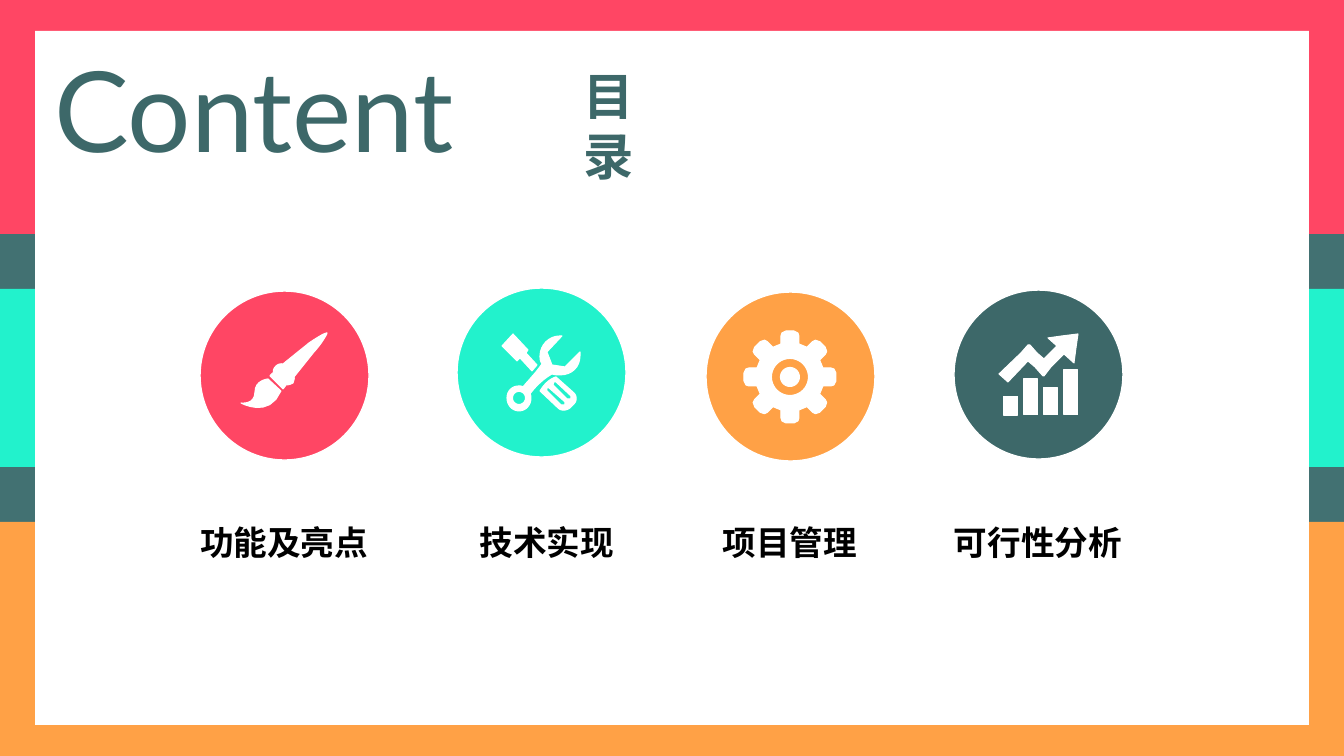
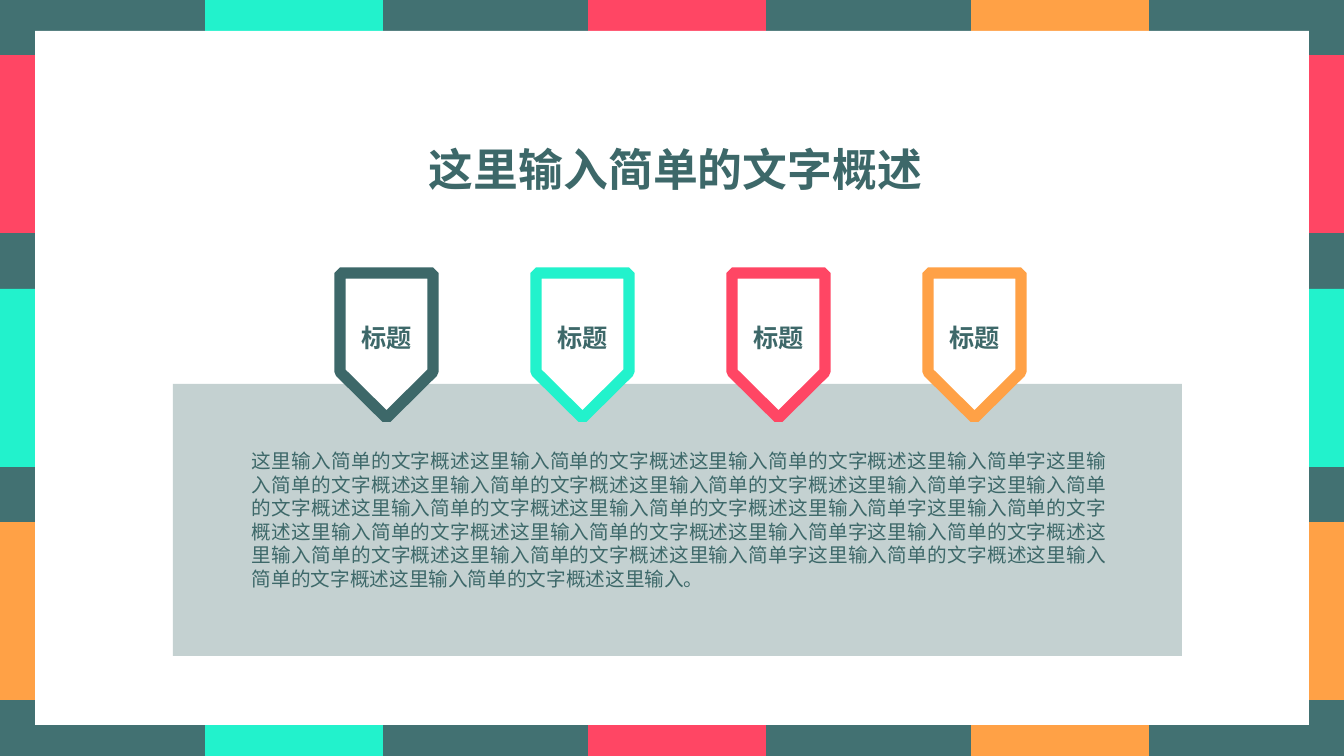
from dataclasses import dataclass
from math import cos, pi, sin

from lxml.etree import SubElement
from pptx import Presentation
from pptx.dml.color import RGBColor
from pptx.enum.shapes import MSO_SHAPE
from pptx.enum.text import MSO_ANCHOR, MSO_AUTO_SIZE, PP_ALIGN
from pptx.oxml.ns import qn
from pptx.util import Emu, Pt

PX = 914400 / 100.8
W, H = 1344, 756


@dataclass(frozen=True)
class Theme:
    """Colours, fonts and type sizes of the deck."""
    dark: str = "3D6869"
    back: str = "427172"
    red: str = "FF4664"
    mint: str = "22F2CC"
    orange: str = "FFA146"
    white: str = "FFFFFF"
    black: str = "000000"
    latin: str = "Lato"
    cjk: str = "Noto Sans CJK SC"
    hero: int = 80
    side: int = 36
    title: int = 32
    label: int = 24
    tag: int = 18
    body: int = 14


def px(n):
    """Turn pixels into EMU."""
    return Emu(round(n * PX))


def ring(cx, cy, radius, steps=40):
    """Return the points of a circle."""
    turns = [2 * pi * i / steps for i in range(steps)]
    return [(cx + radius * cos(a), cy + radius * sin(a)) for a in turns]


def gear(cx, cy):
    """Return the outline of a gear with eight teeth."""
    tooth = [(-9, -33), (-9, -41), (-8, -44), (-4, -46),
             (4, -46), (8, -44), (9, -41), (9, -33)]
    return [(cx + x * cos(a) - y * sin(a), cy + x * sin(a) + y * cos(a))
            for a in (i * pi / 4 for i in range(8)) for x, y in tooth]


def flatten(contour, steps=8):
    """Replace each Bezier segment of a contour by short lines."""
    points = []
    for seg in contour:
        if len(seg) == 2:
            points.append(seg)
            continue
        x0, y0 = points[-1]
        x1, y1, x2, y2, x3, y3 = seg
        for t in (i / steps for i in range(1, steps + 1)):
            u = 1 - t
            k = (u ** 3, 3 * u * u * t, 3 * u * t * t, t ** 3)
            points.append((sum(a * b for a, b in zip(k, (x0, x1, x2, x3))),
                           sum(a * b for a, b in zip(k, (y0, y1, y2, y3)))))
    return points


class Deck:
    """Hold the style and the current slide, and draw on it."""

    def __init__(self, theme):
        """Start an empty deck."""
        self.th = theme
        self.prs = Presentation()
        self.prs.slide_width, self.prs.slide_height = px(W), px(H)

    def slide(self, rows, columns=()):
        """Add a slide framed by coloured bands around a white panel."""
        self.s = self.prs.slides.add_slide(self.prs.slide_layouts[5])
        self.shapes = self.s.shapes
        self.shape(0, 0, W, H, self.th.back)
        for y, h, color in rows:
            self.shape(0, y, W, h, color)
        for x, w, color in columns:
            self.shape(x, 0, w, H, color)
        self.shape(35, 31, 1274, 694, self.th.white)

    def group(self):
        """Send the next shapes to a new group."""
        self.shapes = self.s.shapes.add_group_shape().shapes

    def ungroup(self):
        """Send the next shapes to the slide."""
        self.shapes = self.s.shapes

    def paint(self, sp, fill, line=None, width=0.75):
        """Give a shape its fill and outline."""
        sp.shadow.inherit = False
        sp.fill.solid()
        sp.fill.fore_color.rgb = RGBColor.from_string(fill)
        if line:
            sp.line.color.rgb = RGBColor.from_string(line)
            sp.line.width = Pt(width)
        else:
            sp.line.fill.background()
        return sp

    def shape(self, x, y, w, h, fill, line=None, width=0.75,
              kind=MSO_SHAPE.RECTANGLE, alpha=None):
        """Add a preset shape."""
        sp = self.shapes.add_shape(kind, px(x), px(y), px(w), px(h))
        self.paint(sp, fill, line, width)
        if alpha:
            clr = next(sp.element.iter(qn("a:srgbClr")))
            SubElement(clr, qn("a:alpha"), val=str(alpha * 1000))
        return sp

    def outline(self, contours, fill, line, width=0.75):
        """Add one freeform made of closed contours."""
        paths = [[(px(x), px(y)) for x, y in flatten(c)] for c in contours]
        fb = self.shapes.build_freeform(*paths[0][0])
        fb.add_line_segments(paths[0][1:])
        for points in paths[1:]:
            fb.move_to(*points[0])
            fb.add_line_segments(points[1:])
        return self.paint(fb.convert_to_shape(), fill, line, width)

    def put(self, sp, text, size, color=None, font=None, bold=True,
            lead=1.2, insets=(10, 5, 10, 5), anchor=MSO_ANCHOR.TOP, **para):
        """Put formatted text into a shape."""
        tf = sp.text_frame
        tf.text = text
        left, top, right, bottom = map(px, insets)
        frame = {"word_wrap": True, "auto_size": MSO_AUTO_SIZE.NONE,
                 "vertical_anchor": anchor, "margin_left": left,
                 "margin_top": top, "margin_right": right,
                 "margin_bottom": bottom}
        p = tf.paragraphs[0]
        r = p.runs[0]
        name = font or self.th.cjk
        style = {"size": Pt(size), "bold": bold, "name": name}
        para = {"alignment": PP_ALIGN.LEFT, "line_spacing": Pt(size * lead),
                **para}
        for target, values in ((tf, frame), (p, para), (r.font, style)):
            for key, value in values.items():
                setattr(target, key, value)
        r.font.color.rgb = RGBColor.from_string(color or self.th.dark)
        SubElement(next(sp.element.iter(qn("a:rPr"))), qn("a:ea"),
                   typeface=name)

    def text(self, x, y, w, h, text, size, **style):
        """Add a text box."""
        sp = self.shapes.add_textbox(px(x), px(y), px(w), px(h))
        self.put(sp, text, size, **style)

    def title(self, x, y, w, h, text, size, **style):
        """Place the title above the frame."""
        sp = self.s.shapes.title
        sp.element.getparent().append(sp.element)
        sp.left, sp.top, sp.width, sp.height = map(px, (x, y, w, h))
        self.put(sp, text, size, **style)

    def tag(self, x, color, text):
        """Add a pennant that points down."""
        top, shoulder, tip, w = 273, 372, 418, 93
        sp = self.outline([[(x, top), (x + w, top), (x + w, shoulder),
                            (x + w / 2, tip), (x, shoulder)]],
                          self.th.white, color, 8)
        SubElement(next(sp.element.iter(qn("a:ln"))), qn("a:bevel"))
        self.put(sp, text, self.th.tag, lead=1.44, insets=(0, 0, 0, 22),
                 anchor=MSO_ANCHOR.MIDDLE, alignment=PP_ALIGN.CENTER)

    def topic(self, x, y, color, icon, bars, label_x, label):
        """Add a round icon with its label."""
        white = self.th.white
        self.group()
        self.shape(x, y, 169, 169, color, white, 1, MSO_SHAPE.OVAL)
        self.outline(icon, white, white)
        for i, h in enumerate(bars):
            self.shape(1004 + 20 * i, 415 - h, 14, h, white, white)
        self.ungroup()
        self.text(label_x, 497, 240, 61, label, self.th.label, lead=1.8,
                  color=self.th.black, alignment=PP_ALIGN.CENTER)


BRUSH = [
    [(327, 333), (327, 333, 325, 332, 309, 343), (309, 343, 294, 355, 283, 364),
     (279, 363, 276, 366, 276, 366), (272, 370, 274, 372, 273, 373),
     (271, 374, 270, 376, 270, 376), (283, 389),
     (283, 389, 284, 388, 286, 385), (290, 385, 293, 383, 293, 383),
     (293, 383, 295, 378, 294, 377), (314, 352),
     (320, 346, 328, 333, 327, 333)],
    [(255, 392), (255, 405, 241, 403, 241, 403), (241, 403, 269, 419, 281, 391),
     (268, 379), (268, 379, 255, 380, 255, 392)],
]
TOOLS = [
    [(552, 374), (555, 375, 557, 375, 560, 375), (572, 375, 580, 367, 580, 356),
     (580, 352), (565, 367), (552, 365), (547, 352), (562, 336), (560, 336),
     (549, 336, 540, 345, 540, 356), (540, 358, 540, 361, 542, 364),
     (535, 374, 526, 383, 523, 387), (522, 386, 520, 386, 519, 386),
     (512, 386, 507, 391, 507, 398), (507, 405, 512, 411, 519, 411),
     (526, 411, 531, 405, 531, 398), (531, 397, 531, 395, 530, 394),
     (533, 390, 540, 381, 552, 374)],
    ring(519, 398, 6.5),
    [(520, 358), (532, 371), (537, 365), (526, 353), (528, 350), (513, 334),
     (502, 346), (517, 361)],
    [(556, 377), (556, 377, 547, 379, 540, 391), (558, 408),
     (561, 411, 566, 411, 570, 408), (574, 404),
     (577, 401, 577, 396, 574, 393)],
    [(565, 405), (561, 405), (547, 391), (547, 388), (549, 388), (565, 402)],
    [(571, 399), (567, 399), (553, 385), (554, 382), (556, 382), (571, 396)],
]
GEAR = [gear(790, 377), ring(790, 377, 18.5), ring(790, 377, 9.5)]
TREND = [
    [(1048, 338), (1057, 346), (1044, 359), (1037, 353), (1030, 345),
     (1028, 345), (1021, 353), (999, 374), (1008, 382), (1028, 361),
     (1035, 367), (1043, 376), (1044, 376), (1051, 367), (1064, 354),
     (1074, 363), (1076, 348), (1078, 334), (1062, 336)],
]


def contents(deck):
    """Build the contents slide."""
    th = deck.th
    deck.slide([(289, 178, th.mint), (0, 234, th.red), (522, 234, th.orange)])
    deck.title(44, 35, 503, 146, "Content", th.hero, font=th.latin, bold=False)
    for topic in (
        (200, 291, th.red, BRUSH, (), 164, "功能及亮点"),
        (457, 288, th.mint, TOOLS, (), 427, "技术实现"),
        (706, 292, th.orange, GEAR, (), 670, "项目管理"),
        (954, 290, th.dark, TREND, (19, 36, 27, 45), 918, "可行性分析"),
    ):
        deck.topic(*topic)
    deck.text(574, 60, 82, 132, "目录", th.side)


def overview(deck):
    """Build the slide with four tags over a text panel."""
    th = deck.th
    colors = (th.red, th.mint, th.orange)
    rows = [(y, 178, c) for y, c in zip((55, 289, 522), colors)]
    columns = [(205 + 383 * i, 178, c)
               for i, c in enumerate((th.mint, th.red, th.orange))]
    deck.slide(rows, columns)
    deck.shape(173, 384, 1009, 272, th.dark, alpha=30)
    for i, color in enumerate((th.dark, th.mint, th.red, th.orange)):
        deck.tag(340 + 196 * i, color, "标题")
    phrase = "这里输入简单的文字概述"
    deck.title(419, 137, 520, 65, phrase, th.title)
    body = (phrase * 3 + "这里输入简单字") * 5 + phrase * 3 + "这里输入。"
    deck.text(248, 437, 859, 157, body, th.body, bold=False,
              insets=(4, 12, 0, 0), alignment=PP_ALIGN.JUSTIFY,
              space_before=Pt(6), space_after=Pt(6))


def main():
    """Build and save the deck."""
    deck = Deck(Theme())
    contents(deck)
    overview(deck)
    deck.prs.save("out.pptx")


if __name__ == "__main__":
    main()
